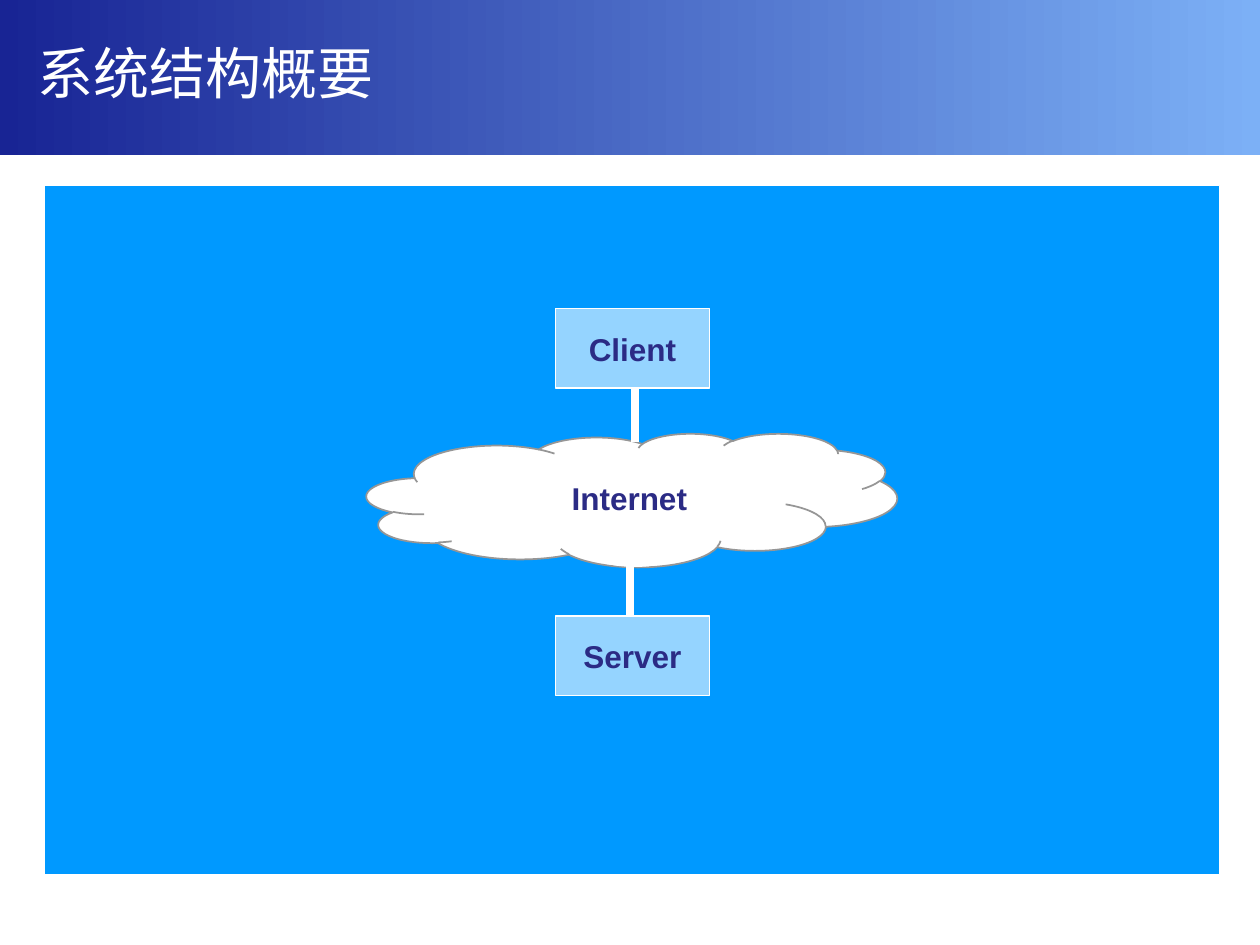
from lxml import etree
from pptx import Presentation
from pptx.dml.color import RGBColor
from pptx.enum.shapes import MSO_CONNECTOR, MSO_SHAPE
from pptx.enum.text import MSO_ANCHOR, PP_ALIGN
from pptx.oxml.ns import qn
from pptx.util import Inches, Pt

RECTANGLE = MSO_SHAPE.RECTANGLE
ELLIPSE = MSO_SHAPE.OVAL
CLOUD = MSO_SHAPE.CLOUD_CALLOUT
STRAIGHT = MSO_CONNECTOR.STRAIGHT
MIDDLE = MSO_ANCHOR.MIDDLE
LEFT, CENTER = PP_ALIGN.LEFT, PP_ALIGN.CENTER

COLORS = {
    "white": "FFFFFF",
    "panel": "0099FF",
    "node": "95D4FF",
    "label": "2B2B85",
    "cloud_edge": "969696",
    "banner_dark": "182494",
    "banner_light": "7CB0F6",
}


def color(name):
    """Return the named colour as an RGBColor."""
    return RGBColor.from_string(COLORS[name])


def add_filled(shapes, kind, bounds, fill, edge=None, width=0.75):
    """Add a preset shape with a solid fill and an optional outline."""
    shape = shapes.add_shape(kind, *map(Inches, bounds))
    shape.shadow.inherit = False
    shape.fill.solid()
    shape.fill.fore_color.rgb = color(fill)
    if edge:
        shape.line.color.rgb = color(edge)
        shape.line.width = Pt(width)
    else:
        shape.line.fill.background()
    return shape


def add_banner(shapes):
    """Add the header band that lightens from left to right."""
    banner = add_filled(shapes, RECTANGLE, (0, 0, 10, 1.23), "banner_dark")
    banner.fill.gradient()
    banner.fill.gradient_angle = 0
    for stop, name in zip(banner.fill.gradient_stops, ("banner_dark", "banner_light")):
        stop.color.rgb = color(name)


def add_text(shapes, text, bounds, size, font, fill, align=CENTER, bold=False):
    """Add a vertically centred line of text."""
    box = shapes.add_textbox(*map(Inches, bounds))
    frame = box.text_frame
    frame.word_wrap = True
    frame.vertical_anchor = MIDDLE
    frame.text = text
    para = frame.paragraphs[0]
    para.alignment = align
    span = para.runs[0]
    span.font.size = Pt(size)
    span.font.name = font
    span.font.bold = bold
    span.font.color.rgb = color(fill)
    east_asian = etree.SubElement(span.font._element, qn("a:ea"))
    east_asian.set("typeface", font)


def add_label(shapes, text, bounds):
    """Add a bold diagram label."""
    add_text(shapes, text, bounds, 18, "Arial", "label", bold=True)


def add_node(shapes, text, top):
    """Add a labelled box as one group."""
    group = shapes.add_group_shape().shapes
    add_filled(group, RECTANGLE, (4.41, top, 1.22, 0.63), "node", "white")
    add_label(group, text, (4.41, top + 0.12, 1.22, 0.4))


def add_cloud(shapes):
    """Add the labelled cloud, with an ellipse over its callout tail."""
    group = shapes.add_group_shape().shapes
    cloud = add_filled(group, CLOUD, (2.91, 3.44, 4.21, 1.06), "white", "cloud_edge", 1)
    cloud.adjustments[0] = 0
    cloud.adjustments[1] = 0.135
    add_filled(group, ELLIPSE, (4.53, 4.03, 1.02, 0.47), "white")
    add_label(group, "Internet", (4.09, 3.75, 1.81, 0.4))


def add_link(shapes, x, top):
    """Add a thick vertical link."""
    ends = map(Inches, (x, top, x, top + 0.43))
    link = shapes.add_connector(STRAIGHT, *ends)
    link.line.color.rgb = color("white")
    link.line.width = Pt(4.5)
    etree.SubElement(link._element.spPr, qn("a:effectLst"))


def main():
    """Build the system structure slide."""
    deck = Presentation()
    deck.slide_width, deck.slide_height = Inches(10), Inches(7.5)
    page = deck.slides.add_slide(deck.slide_layouts[6])
    shapes = page.shapes
    add_banner(shapes)
    add_filled(shapes, RECTANGLE, (0.35, 1.47, 9.33, 5.47), "panel", "white")
    add_text(shapes, "系统结构概要", (0.2, 0, 9.57, 1.15), 32, "DejaVu Sans", "white", LEFT)
    add_node(shapes, "Client", 2.45)
    add_node(shapes, "Server", 4.89)
    add_cloud(shapes)
    add_link(shapes, 5.04, 3.08)
    add_link(shapes, 5, 4.46)
    deck.save("out.pptx")


if __name__ == "__main__":
    main()
